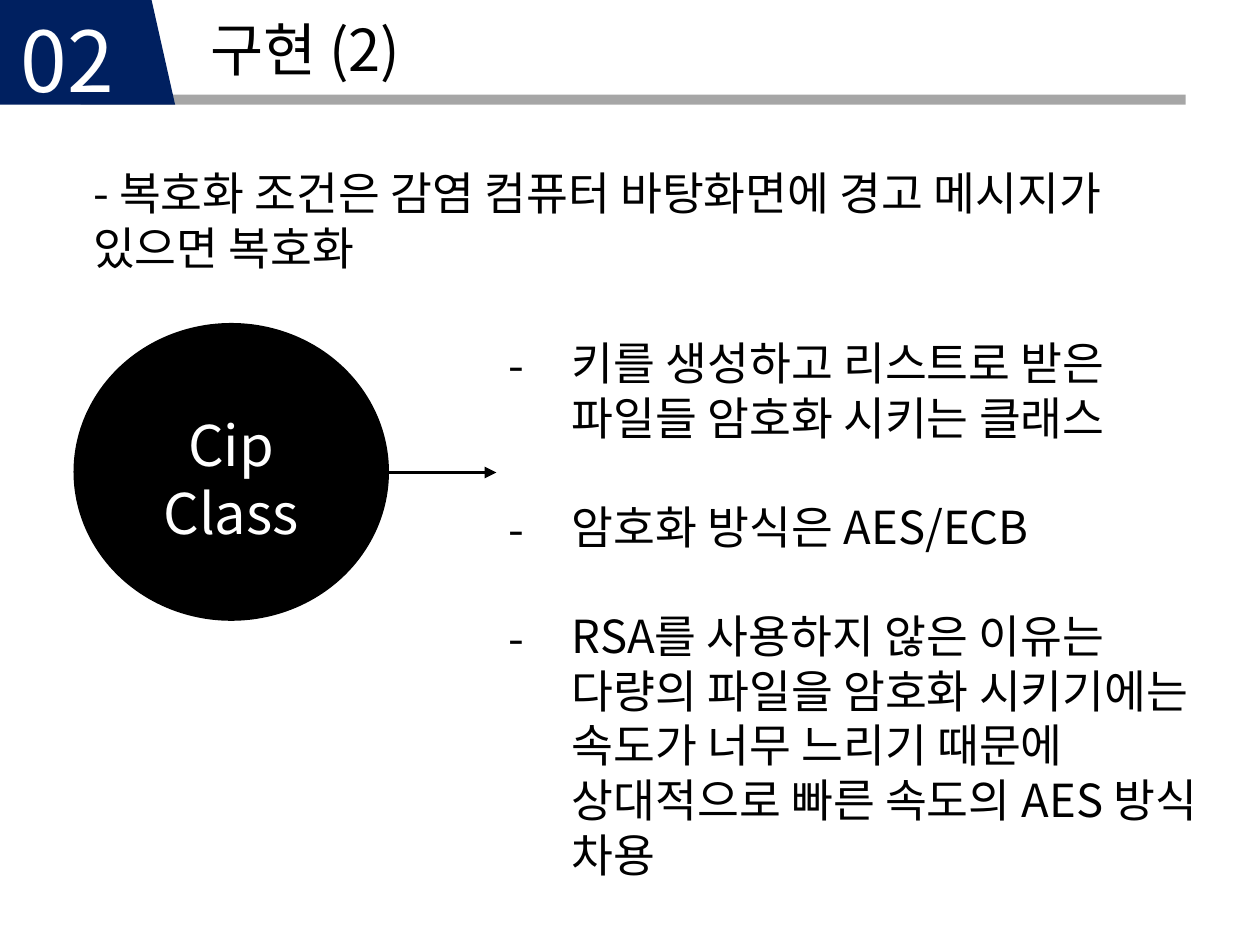
from dataclasses import dataclass

from pptx import Presentation
from pptx import util as u
from pptx.dml.color import RGBColor
from pptx.enum import shapes, text
from pptx.oxml.ns import qn

In = u.Inches


@dataclass(frozen=True)
class Theme:
    font: str = "Noto Sans CJK KR"
    navy: str = "002060"
    gray: str = "A6A6A6"
    black: str = "000000"
    white: str = "FFFFFF"
    title: int = 33
    number: int = 48
    label: int = 32
    body: int = 26
    leading: float = 1.2


T = Theme()
LEFT, CENTER = text.PP_ALIGN.LEFT, text.PP_ALIGN.CENTER


def rgb(value):
    return RGBColor.from_string(value)


def add_run(p, content, size, color, leading=T.leading):
    p.line_spacing = u.Pt(round(size * leading, 1))
    r = p.add_run()
    r.text = content
    r.font.name = T.font
    r.font.size = u.Pt(size)
    r.font.color.rgb = rgb(color)
    ea = r.font._element.makeelement(qn("a:ea"), {"typeface": T.font})
    r.font._element.find(qn("a:latin")).addnext(ea)


def add_dash(p):
    pPr = p._p.get_or_add_pPr()
    pPr.set("marL", str(In(0.5)))
    pPr.set("indent", str(-In(0.5)))
    pPr.append(pPr.makeelement(qn("a:buFont"), {"typeface": T.font}))
    pPr.append(pPr.makeelement(qn("a:buChar"), {"char": "-"}))


def add_text(s, box, items, size, dashed=False, leading=T.leading, top=0.08):
    tf = s.shapes.add_textbox(*map(In, box)).text_frame
    tf.word_wrap = True
    tf.margin_top = In(top)
    for i, item in enumerate(items):
        p = tf.paragraphs[0] if i == 0 else tf.add_paragraph()
        if dashed:
            add_dash(p)
        if i < len(items) - 1:
            p.space_after = u.Pt(size * leading)
        add_run(p, item, size, T.black, leading)


def add_block(s, kind, box, fill, label=None, size=None, margin=0.1):
    sp = s.shapes.add_shape(kind, *map(In, box))
    sp.shadow.inherit = False
    sp.fill.solid()
    sp.fill.fore_color.rgb = rgb(fill)
    sp.line.fill.background()
    if label:
        tf = sp.text_frame
        tf.word_wrap = True
        tf.vertical_anchor = text.MSO_ANCHOR.MIDDLE
        tf.margin_left = tf.margin_right = In(margin)
        tf.margin_top, tf.margin_bottom = In(0.1), 0
        p = tf.paragraphs[0]
        p.alignment = CENTER
        add_run(p, label, size, T.white)
    return sp


def add_arrow(s, x1, x2, y):
    c = s.shapes.add_connector(shapes.MSO_CONNECTOR.STRAIGHT,
                               In(x1), In(y), In(x2), In(y))
    c.line.width = u.Pt(2.25)
    c.line.color.rgb = rgb(T.black)
    ln = c.line._get_or_add_ln()
    ln.append(ln.makeelement(qn("a:tailEnd"), {"type": "triangle"}))
    spPr = c._element.spPr
    spPr.append(spPr.makeelement(qn("a:effectLst"), {}))


def add_header(s):
    kinds = shapes.MSO_SHAPE
    add_text(s, (1.57, 0.08, 7.53, 0.79), ["구현 (2)"], T.title,
             leading=1.15, top=0.05)
    add_block(s, kinds.RECTANGLE, (0.64, 0.75, 8.77, 0.08), T.gray)
    tab = add_block(s, kinds.PARALLELOGRAM, (-0.32, 0, 1.71, 0.83), T.navy,
                    "02", T.number, margin=0)
    tab.adjustments[0] = 0.225
    tab._element.spPr.find(qn("a:xfrm")).set("flipH", "1")


def add_class_node(s):
    node = add_block(s, shapes.MSO_SHAPE.OVAL, (0.59, 2.57, 2.49, 2.35),
                     T.black, "Cip Class", T.label)
    node.line.color.rgb = rgb(T.black)
    node.line.width = u.Pt(1)
    add_arrow(s, 3.09, 3.94, 3.75)


def main():
    prs = Presentation()
    prs.slide_width, prs.slide_height = In(10), In(7.5)
    s = prs.slides.add_slide(prs.slide_layouts[6])
    add_header(s)
    add_text(s, (0.64, 1.23, 8.58, 0.98),
             ["- 복호화 조건은 감염 컴퓨터 바탕화면에 경고 메시지가 있으면 복호화"],
             T.body)
    add_class_node(s)
    add_text(s, (3.94, 2.58, 5.96, 4.04), [
        "키를 생성하고 리스트로 받은 파일들 암호화 시키는 클래스",
        "암호화 방식은 AES/ECB",
        "RSA를 사용하지 않은 이유는 다량의 파일을 암호화 시키기에는 속도가 "
        "너무 느리기 때문에 상대적으로 빠른 속도의 AES 방식 차용",
    ], T.body, dashed=True)
    prs.save("out.pptx")


if __name__ == "__main__":
    main()
